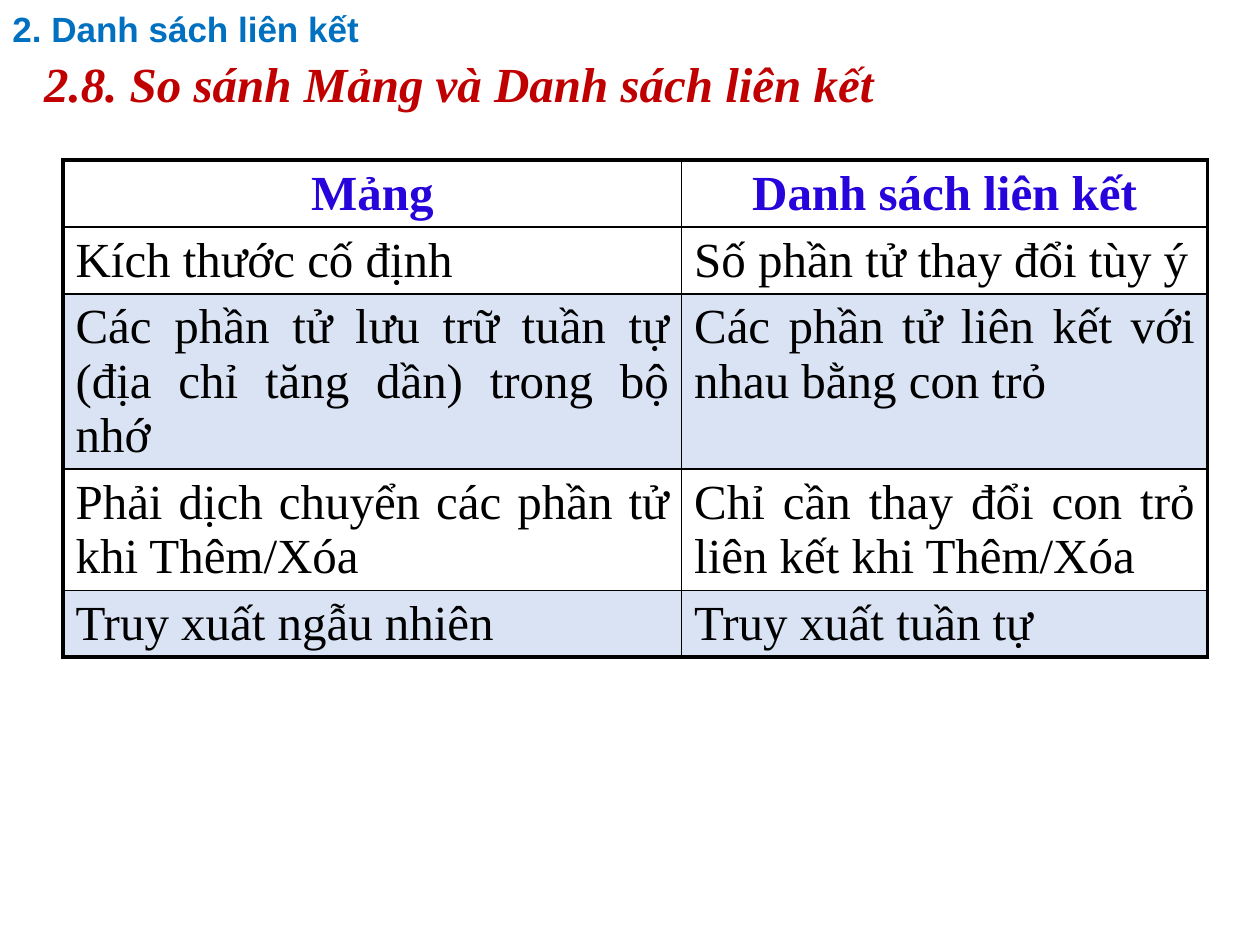
import pptx
import pptx.dml.color
import pptx.enum.text
import pptx.oxml
import pptx.oxml.ns
import pptx.util

Pt = pptx.util.Pt
ALIGN = pptx.enum.text.PP_ALIGN
ANCHOR = pptx.enum.text.MSO_ANCHOR

SERIF = {"name": "Times New Roman", "size": Pt(28)}
TITLE_FONT = {**SERIF, "bold": True, "italic": True, "color": "C00000"}
SECTION_FONT = {"name": "Arial", "size": Pt(20), "bold": True, "color": "0070C0"}
HEADER_FONT = {**SERIF, "bold": True, "color": "2804DC"}
BODY_FONT = {**SERIF, "bold": False, "color": "000000"}

COMPARISON = [
    ("Mảng", "Danh sách liên kết"),
    ("Kích thước cố định", "Số phần tử thay đổi tùy ý"),
    ("Các phần tử lưu trữ tuần tự (địa chỉ tăng dần) trong bộ nhớ",
     "Các phần tử liên kết với nhau bằng con trỏ"),
    ("Phải dịch chuyển các phần tử khi Thêm/Xóa",
     "Chỉ cần thay đổi con trỏ liên kết khi Thêm/Xóa"),
    ("Truy xuất ngẫu nhiên", "Truy xuất tuần tự"),
]
COLUMN_WIDTHS = [353.5, 300.5]
ROW_HEIGHTS = [38, 38, 100, 69, 38]
BAND = "DAE3F3"
OUTER, INNER = 2.25, 1


def rgb(value):
    return pptx.dml.color.RGBColor.from_string(value)


def write_text(frame, text, font, **paragraph_format):
    """Put one formatted paragraph into a text frame."""
    para = frame.paragraphs[0]
    for name, value in paragraph_format.items():
        setattr(para, name, value)
    span = para.add_run()
    span.text = text
    for name, value in font.items():
        if name == "color":
            span.font.color.rgb = rgb(value)
        else:
            setattr(span.font, name, value)


def place(box, left, top, width, height):
    """Position a text shape and centre its text vertically."""
    box.left, box.top, box.width, box.height = map(Pt, (left, top, width, height))
    frame = box.text_frame
    frame.word_wrap = True
    frame.auto_size = pptx.enum.text.MSO_AUTO_SIZE.NONE
    frame.vertical_anchor = ANCHOR.MIDDLE
    return frame


def set_borders(cell, widths):
    """Draw black cell borders; widths maps a side letter to points."""
    properties = cell._tc.get_or_add_tcPr()
    for side, width in widths.items():
        properties.append(pptx.oxml.parse_xml(
            f'<a:ln{side} {pptx.oxml.ns.nsdecls("a")} w="{Pt(width)}">'
            '<a:solidFill><a:srgbClr val="000000"/></a:solidFill>'
            f'</a:ln{side}>'))


def add_comparison(page):
    last_row, last_column = len(COMPARISON) - 1, len(COLUMN_WIDTHS) - 1
    table = page.shapes.add_table(
        last_row + 1, last_column + 1, Pt(36), Pt(91.5),
        Pt(sum(COLUMN_WIDTHS)), Pt(sum(ROW_HEIGHTS))).table
    table.first_row = table.horz_banding = False
    for column, width in zip(table.columns, COLUMN_WIDTHS):
        column.width = Pt(width)
    for row, height in zip(table.rows, ROW_HEIGHTS):
        row.height = Pt(height)

    for r, texts in enumerate(COMPARISON):
        for c, text in enumerate(texts):
            cell = table.cell(r, c)
            # Thick outer frame, thin inner grid
            edges = {"L": c == 0, "R": c == last_column,
                     "T": r == 0, "B": r == last_row}
            set_borders(cell, {side: OUTER if outer else INNER
                               for side, outer in edges.items()})
            # Every second body row is tinted
            if r and r % 2 == 0:
                cell.fill.solid()
                cell.fill.fore_color.rgb = rgb(BAND)
            else:
                cell.fill.background()
            write_text(cell.text_frame, text,
                       BODY_FONT if r else HEADER_FONT,
                       alignment=ALIGN.JUSTIFY if r else ALIGN.CENTER)


def main():
    deck = pptx.Presentation()
    deck.slide_width, deck.slide_height = Pt(720), Pt(540)
    page = deck.slides.add_slide(deck.slide_layouts[5])

    # Slide title
    frame = place(page.shapes.title, 18, 24, 624, 43)
    write_text(frame, "2.8. So sánh Mảng và Danh sách liên kết", TITLE_FONT,
               alignment=ALIGN.JUSTIFY, line_spacing=1.1, space_before=Pt(0))

    # Comparison table
    add_comparison(page)

    # Section heading
    frame = place(page.shapes.add_textbox(0, 0, 0, 0), 0, 0, 620.5, 36)
    write_text(frame, "2. Danh sách liên kết", SECTION_FONT, line_spacing=0.9)

    deck.save("out.pptx")


if __name__ == "__main__":
    main()
